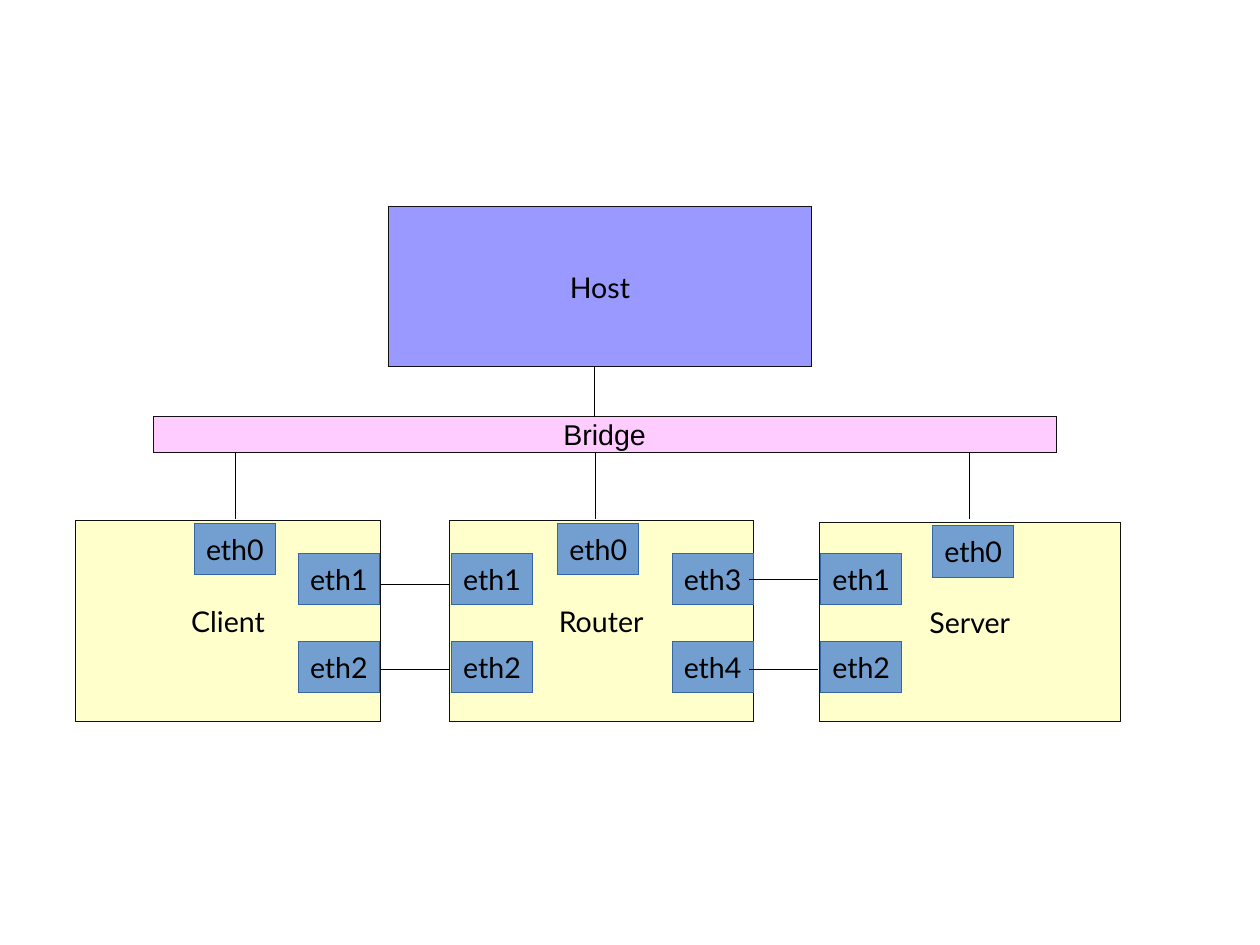
from pptx import Presentation
from pptx.dml.color import RGBColor
from pptx.enum.shapes import MSO_CONNECTOR, MSO_SHAPE
from pptx.enum.text import MSO_ANCHOR, PP_ALIGN
from pptx.oxml.ns import qn
from pptx.util import Inches, Pt
from lxml.etree import SubElement

COLORS = {
    "host": "9999FF", "bridge": "FFCCFF", "node": "FFFFCC", "port": "729FCF",
    "outline": "111111", "port_outline": "3465A4", "text": "000000", "link": "000000",
}
CM_PER_INCH = 2.54
HAIRLINE = Pt(0.01)  # a width of zero would fall back to the theme's line
PORT_W, PORT_H = 0.71, 0.45
PORT_ROWS = (1.47, 0.7)  # distance of each port row from the node's bottom


def color(name):
    return RGBColor.from_string(COLORS[name])


def set_line(sp, name):
    sp.line.color.rgb = color(name)
    sp.line.width = HAIRLINE


def add_text(sp, text, font="Lato", size=18, fill="text"):
    tf = sp.text_frame
    tf.word_wrap = False
    tf.vertical_anchor = MSO_ANCHOR.MIDDLE
    p = tf.paragraphs[0]
    p.alignment = PP_ALIGN.CENTER
    r = p.add_run()
    r.text = text
    r.font.name = font
    r.font.size = Pt(size)
    r.font.color.rgb = color(fill)


def add_box(s, box, text, fill, outline="outline", **text_format):
    sp = s.shapes.add_shape(MSO_SHAPE.RECTANGLE, *map(Inches, box))
    sp.shadow.inherit = False
    sp.fill.solid()
    sp.fill.fore_color.rgb = color(fill)
    set_line(sp, outline)
    add_text(sp, text, **text_format)


def add_link(s, x1, y1, x2, y2):
    link = s.shapes.add_connector(MSO_CONNECTOR.STRAIGHT, *map(Inches, (x1, y1, x2, y2)))
    set_line(link, "link")
    SubElement(link._element.spPr, qn("a:effectLst"))


def add_node(s, box, name, uplink_dx, sides):
    """Machine with eth0 at its top and columns of two ports at its sides."""
    left, top, _, height = box
    add_box(s, box, name, "node")
    ports = [("eth0", uplink_dx, 0.03)]
    for dx, names in sides:
        ports += [(port, dx, height - up) for port, up in zip(names, PORT_ROWS)]
    for port, dx, dy in ports:
        add_box(s, (left + dx, top + dy, PORT_W, PORT_H), port, "port", "port_outline")


def add_network(s):
    # Machines
    add_node(s, (0.66, 4.55, 2.67, 1.76), "Client", 1.04, [(1.95, ("eth1", "eth2"))])
    add_node(s, (7.17, 4.57, 2.63, 1.74), "Server", 0.99, [(0.01, ("eth1", "eth2"))])
    add_node(s, (3.93, 4.55, 2.66, 1.76), "Router", 0.95,
             [(0.02, ("eth1", "eth2")), (1.95, ("eth3", "eth4"))])

    # Links between machines
    for x1, x2, rows in ((3.33, 3.93, (5.11, 5.86)), (6.56, 7.15, (5.07, 5.86))):
        for y in rows:
            add_link(s, x1, y, x2, y)


def add_backbone(s):
    # Bridge and host
    add_box(s, (1.34, 3.64, 7.9, 0.32), "Bridge", "bridge", font="Arial")
    add_box(s, (3.4, 1.81, 3.7, 1.4), "Host", "host")

    # Links to the bridge
    add_link(s, 5.2, 3.21, 5.2, 3.64)
    for x in (2.06, 5.21, 8.48):
        add_link(s, x, 4.54, x, 3.97)


def main():
    prs = Presentation()
    # The page measures 28 by 21 cm
    prs.slide_width = Inches(28 / CM_PER_INCH)
    prs.slide_height = Inches(21 / CM_PER_INCH)
    s = prs.slides.add_slide(prs.slide_layouts[6])
    add_network(s)
    add_backbone(s)
    prs.save("out.pptx")


if __name__ == "__main__":
    main()
